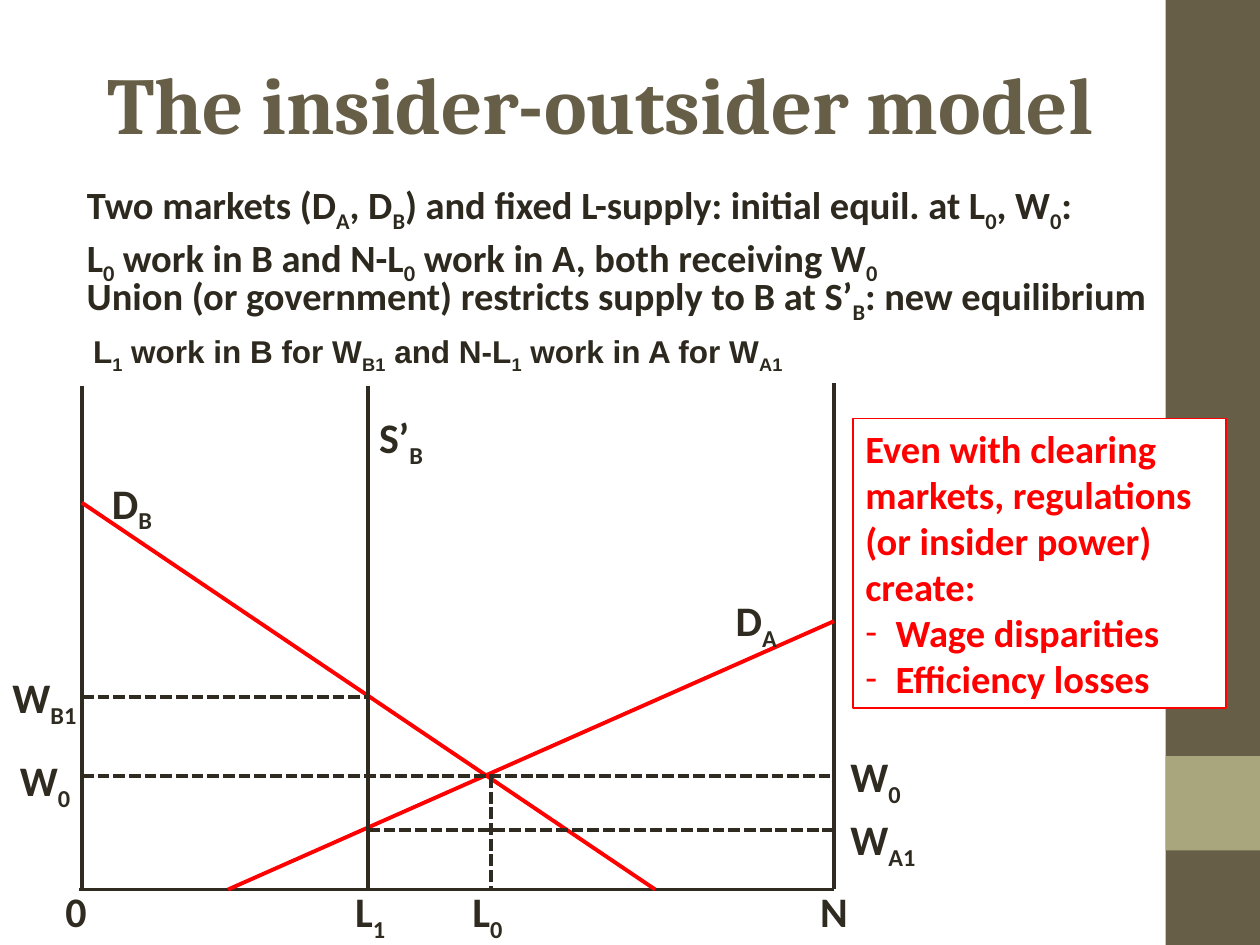
import pptx
import pptx.dml.color
import pptx.enum.dml
import pptx.enum.shapes
import pptx.enum.text
import pptx.oxml
import pptx.oxml.ns
import pptx.util

THEME = {
    "ink": "2F2B20", "body": "2D291E", "accent": "FF0000", "paper": "FFFFFF",
    "brown": "675E47", "olive": "A9A57C",
    "heading_font": "Cambria", "text_font": "Calibri", "note_font": "Arial",
    "title_size": 46, "label_size": 24, "body_size": 22, "note_size": 18,
    "line_width": 2.25, "border_width": 0.75,
}
SLIDE_WIDTH, SLIDE_HEIGHT = 10, 7.5

# Positions below are percentages of the slide's width and height.
TITLE = ("The insider-outsider model", (7.5, 2.8, 85, 16.13))
SIDEBAR = [("brown", (92.5, 0, 7.5, 100)), ("olive", (92.5, 80, 7.5, 10))]

STATEMENTS = [
    (["Two markets (D[A], D[B]) and fixed L-supply: initial equil. at L[0], W[0]:",
      "L[0] work in B and N-L[0] work in A, both receiving W[0]"],
     (5.9, 18.53, 84.5, 12.53), "text_font", "body_size"),
    (["Union (or government) restricts supply to B at S’[B]: new equilibrium"],
     (5.9, 28.13, 86.6, 6.93), "text_font", "body_size"),
    (["L[1] work in B for W[B1] and N-L[1] work in A for W[A1]"],
     (6.4, 34.53, 83.4, 5.87), "note_font", "note_size"),
]

LEFT, RIGHT, TOP, BASE = 6.5, 66.2, 40.8, 94.13
L1, L0 = 29.2, 39
WAGE_B1, WAGE_0, WAGE_A1 = 73.73, 82.13, 87.87

LINES = [
    ((LEFT, TOP), (LEFT, BASE), "ink", False),
    ((RIGHT, TOP - 0.27), (RIGHT, BASE), "ink", False),
    ((RIGHT, BASE), (LEFT - 0.2, BASE), "ink", False),
    ((LEFT, 53.2), (52, BASE), "accent", False),
    ((18.1, BASE), (RIGHT, 65.73), "accent", False),
    ((LEFT, WAGE_0), (RIGHT, WAGE_0), "ink", True),
    ((L1, TOP), (L1, BASE), "ink", False),
    ((L1, WAGE_A1), (RIGHT, WAGE_A1), "ink", True),
    ((LEFT, WAGE_B1), (L1, WAGE_B1), "ink", True),
    ((L0, WAGE_0), (L0, BASE), "ink", True),
]

LABEL_WIDTH, LABEL_HEIGHT = 7.5, 7.47
AXIS_LABEL_TOP, RIGHT_LABEL_LEFT = 93.07, 66.5
LABELS = [
    ("W[B1]", 0, 70.4), ("W[0]", 0.6, 79.2),
    ("W[0]", RIGHT_LABEL_LEFT, 78.8), ("W[A1]", RIGHT_LABEL_LEFT, 85.47),
    ("D[B]", 7.9, 49.87), ("D[A]", 57.4, 62.27), ("S’[B]", 29.1, 42.93),
    ("0", 4.2, AXIS_LABEL_TOP), ("L[1]", 27.2, AXIS_LABEL_TOP),
    ("L[0]", 36.5, AXIS_LABEL_TOP), ("N", 64.1, AXIS_LABEL_TOP),
]

CALLOUT_BOX = (67.7, 44.27, 29.6, 30.67)
CALLOUT = ["Even with clearing markets, regulations (or insider power) create:"]
CALLOUT_BULLETS = ["Wage disparities", "Efficiency losses"]
BULLET_INDENT = 0.24


def color(name):
    return pptx.dml.color.RGBColor.from_string(THEME[name])


def across(share):
    return pptx.util.Inches(SLIDE_WIDTH * share / 100)


def down(share):
    return pptx.util.Inches(SLIDE_HEIGHT * share / 100)


def place(box):
    left, top, width, height = box
    return across(left), down(top), across(width), down(height)


def add_bullet(paragraph):
    properties = paragraph._p.get_or_add_pPr()
    indent = pptx.util.Inches(BULLET_INDENT)
    properties.set("marL", str(indent))
    properties.set("indent", str(-indent))
    for tag, name, value in (("buFont", "typeface", THEME["text_font"]), ("buChar", "char", "-")):
        element = pptx.oxml.parse_xml(f"<a:{tag} {pptx.oxml.ns.nsdecls('a')}/>")
        element.set(name, value)
        properties.append(element)


def write_text(shape, text, bullets=(), font="text_font", size="label_size", ink="ink", anchor="TOP"):
    frame = shape.text_frame
    frame.word_wrap = True
    frame.auto_size = pptx.enum.text.MSO_AUTO_SIZE.NONE
    frame.vertical_anchor = getattr(pptx.enum.text.MSO_ANCHOR, anchor)
    for index, line in enumerate([*text, *bullets]):
        paragraph = frame.add_paragraph() if index else frame.paragraphs[0]
        paragraph.alignment = pptx.enum.text.PP_ALIGN.LEFT
        if index >= len(text):
            add_bullet(paragraph)
        for position, part in enumerate(line.replace("]", "[").split("[")):
            if not part:
                continue
            run = paragraph.add_run()
            run.text = part
            run.font.name = THEME[font]
            run.font.size = pptx.util.Pt(THEME[size])
            run.font.bold = True
            run.font.color.rgb = color(ink)
            if position % 2:
                run.font._element.set("baseline", "-25000")


def add_rectangle(slide, box, fill, border=None):
    shape = slide.shapes.add_shape(pptx.enum.shapes.MSO_SHAPE.RECTANGLE, *place(box))
    shape.shadow.inherit = False
    shape.fill.solid()
    shape.fill.fore_color.rgb = color(fill)
    if border:
        shape.line.color.rgb = color(border)
        shape.line.width = pptx.util.Pt(THEME["border_width"])
    else:
        shape.line.fill.background()
    return shape


def add_line(slide, start, end, ink, dashed):
    connector = slide.shapes.add_connector(
        pptx.enum.shapes.MSO_CONNECTOR.STRAIGHT,
        across(start[0]), down(start[1]), across(end[0]), down(end[1]))
    connector.line.color.rgb = color(ink)
    connector.line.width = pptx.util.Pt(THEME["line_width"])
    if dashed:
        connector.line.dash_style = pptx.enum.dml.MSO_LINE.SQUARE_DOT
    connector._element.spPr.append(
        pptx.oxml.parse_xml(f"<a:effectLst {pptx.oxml.ns.nsdecls('a')}/>"))


def main():
    presentation = pptx.Presentation()
    presentation.slide_width = pptx.util.Inches(SLIDE_WIDTH)
    presentation.slide_height = pptx.util.Inches(SLIDE_HEIGHT)
    slide = presentation.slides.add_slide(presentation.slide_layouts[5])

    for fill, box in SIDEBAR:
        add_rectangle(slide, box, fill)

    text, box = TITLE
    title = slide.shapes.title
    title.left, title.top, title.width, title.height = place(box)
    write_text(title, [text], font="heading_font", size="title_size", ink="brown", anchor="MIDDLE")

    for line in LINES:
        add_line(slide, *line)
    for text, left, top in LABELS:
        label = slide.shapes.add_textbox(*place((left, top, LABEL_WIDTH, LABEL_HEIGHT)))
        write_text(label, [text])
    for text, box, font, size in STATEMENTS:
        statement = slide.shapes.add_textbox(*place(box))
        write_text(statement, text, font=font, size=size, ink="body")

    callout = add_rectangle(slide, CALLOUT_BOX, "paper", border="accent")
    write_text(callout, CALLOUT, bullets=CALLOUT_BULLETS, size="body_size", ink="accent")

    presentation.save("out.pptx")


if __name__ == "__main__":
    main()
